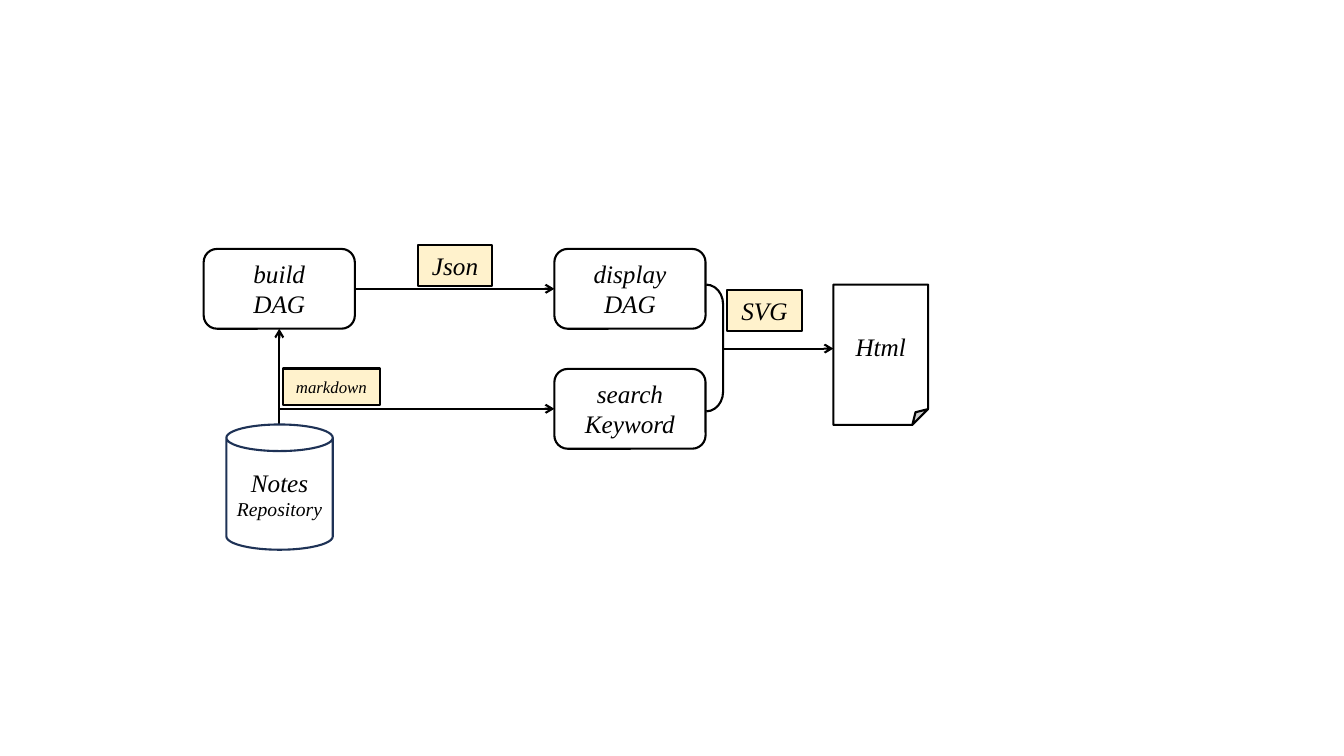
from dataclasses import dataclass

from lxml import etree
from pptx import Presentation
from pptx.dml.color import RGBColor
from pptx.enum import shapes, text
from pptx.oxml import ns
from pptx.slide import Slide
from pptx.util import Pt

Kind = shapes.MSO_SHAPE


@dataclass(frozen=True)
class Theme:
    font: str = "Times New Roman"
    ink: RGBColor = RGBColor(0x00, 0x00, 0x00)
    paper: RGBColor = RGBColor(0xFF, 0xFF, 0xFF)
    label: RGBColor = RGBColor(0xFF, 0xF2, 0xCC)
    storage: RGBColor = RGBColor(0x1E, 0x32, 0x56)
    body: float = 18
    detail: float = 14
    small: float = 12
    line: float = 1.5


THEME = Theme()


@dataclass(frozen=True)
class Words:
    text: str
    size: float = THEME.body


@dataclass(frozen=True)
class Node:
    kind: Kind
    left: float
    top: float
    width: float
    height: float
    paragraphs: tuple[tuple[Words, ...], ...] = ()
    fill: RGBColor | None = THEME.paper
    line: RGBColor = THEME.ink
    inset: float = 7.2

    @property
    def right(self) -> float:
        return self.left + self.width

    @property
    def bottom(self) -> float:
        return self.top + self.height

    @property
    def center(self) -> float:
        return self.left + self.width / 2

    @property
    def middle(self) -> float:
        return self.top + self.height / 2


@dataclass(frozen=True)
class Arrow:
    start: tuple[float, float]
    end: tuple[float, float]


def step(left: float, top: float, *lines: str) -> Node:
    """A rounded processing step."""
    paragraphs = tuple((Words(line),) for line in lines)
    return Node(Kind.ROUNDED_RECTANGLE, left, top, 108, 57, paragraphs)


def label(left: float, top: float, words: Words,
          width: float = 53.5, height: float = 29) -> Node:
    """A tinted data format label."""
    return Node(Kind.RECTANGLE, left, top, width, height, ((words,),), THEME.label)


def draw_node(slide: Slide, node: Node) -> None:
    shape = slide.shapes.add_shape(
        node.kind, Pt(node.left), Pt(node.top), Pt(node.width), Pt(node.height))
    shape.shadow.inherit = False
    if node.fill is None:
        shape.fill.background()
    else:
        shape.fill.solid()
        shape.fill.fore_color.rgb = node.fill
    shape.line.color.rgb = node.line
    shape.line.width = Pt(THEME.line)
    if node.kind == Kind.RIGHT_BRACKET:
        shape.adjustments[0] = 1.17

    frame = shape.text_frame
    frame.word_wrap = True
    frame.vertical_anchor = text.MSO_ANCHOR.MIDDLE
    frame.margin_left = frame.margin_right = Pt(node.inset)
    for index, line in enumerate(node.paragraphs):
        paragraph = frame.add_paragraph() if index else frame.paragraphs[0]
        paragraph.alignment = text.PP_ALIGN.CENTER
        for words in line:
            run = paragraph.add_run()
            run.text = words.text
            run.font.name = THEME.font
            run.font.size = Pt(words.size)
            run.font.italic = True
            run.font.color.rgb = THEME.ink


def draw_arrow(slide: Slide, arrow: Arrow) -> None:
    connector = slide.shapes.add_connector(
        shapes.MSO_CONNECTOR.STRAIGHT,
        *(Pt(value) for value in arrow.start + arrow.end))
    connector.line.color.rgb = THEME.ink
    connector.line.width = Pt(THEME.line)
    # Open arrowhead, no shadow
    properties = connector._element.spPr
    etree.SubElement(connector.line._get_or_add_ln(), ns.qn("a:tailEnd"), type="arrow")
    etree.SubElement(properties, ns.qn("a:effectLst"))


def main() -> None:
    presentation = Presentation()
    presentation.slide_width = Pt(960)
    presentation.slide_height = Pt(540)
    slide = presentation.slides.add_slide(presentation.slide_layouts[6])

    # Processing steps, storage and output page
    build = step(145.5, 177.8, "build", "DAG")
    display = step(396, build.top, "display DAG")
    search = step(display.left, 263.5, "search", "Keyword")
    notes = Node(Kind.CAN, 161.7, 303.2, 76, 89.5,
                 ((Words("Notes "), Words("Repository", THEME.detail)),),
                 line=THEME.storage, inset=5)
    bracket = Node(Kind.RIGHT_BRACKET, display.right + 0.5, 203.3, 12, 90.5, fill=None)
    page = Node(Kind.FOLDED_CORNER, 595.3, 203.3, 67.7, 100.2, ((Words("Html"),),))

    # Data flow
    trunk = build.center
    outlet = 249
    arrows = (
        Arrow((build.right, build.middle), (display.left, display.middle)),
        Arrow((trunk, notes.top), (trunk, build.bottom)),
        Arrow((trunk, search.middle), (search.left, search.middle)),
        Arrow((bracket.right, outlet), (page.left, outlet)),
    )

    # Data formats
    labels = (
        label(298.3, 175, Words("Json")),
        label(202, 263.2, Words("markdown", THEME.small), 69.5, 26),
        label(519.3, 207.2, Words("SVG")),
    )

    for arrow in arrows:
        draw_arrow(slide, arrow)
    for node in (notes, build, display, search, bracket, page, *labels):
        draw_node(slide, node)

    presentation.save("out.pptx")


if __name__ == "__main__":
    main()
